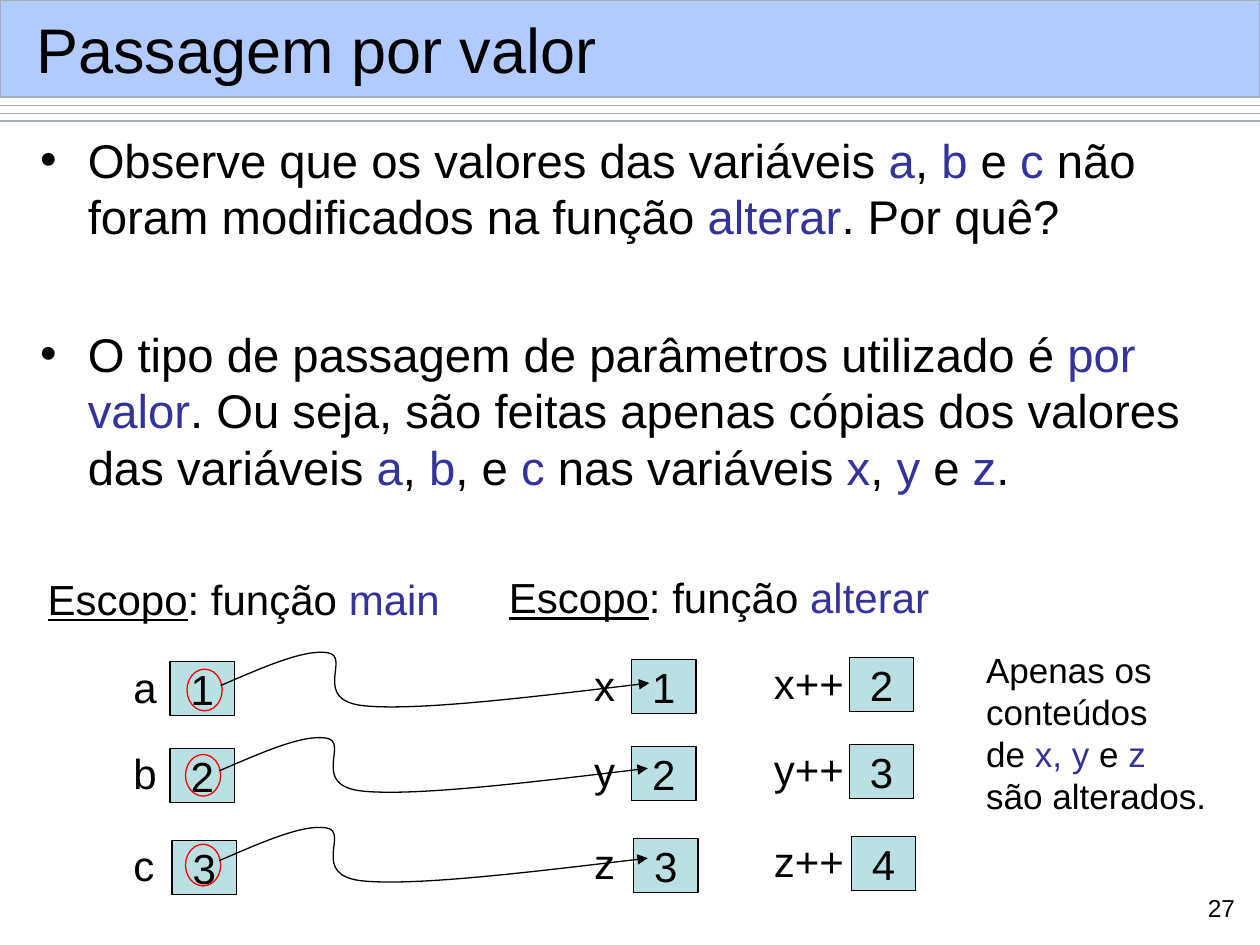
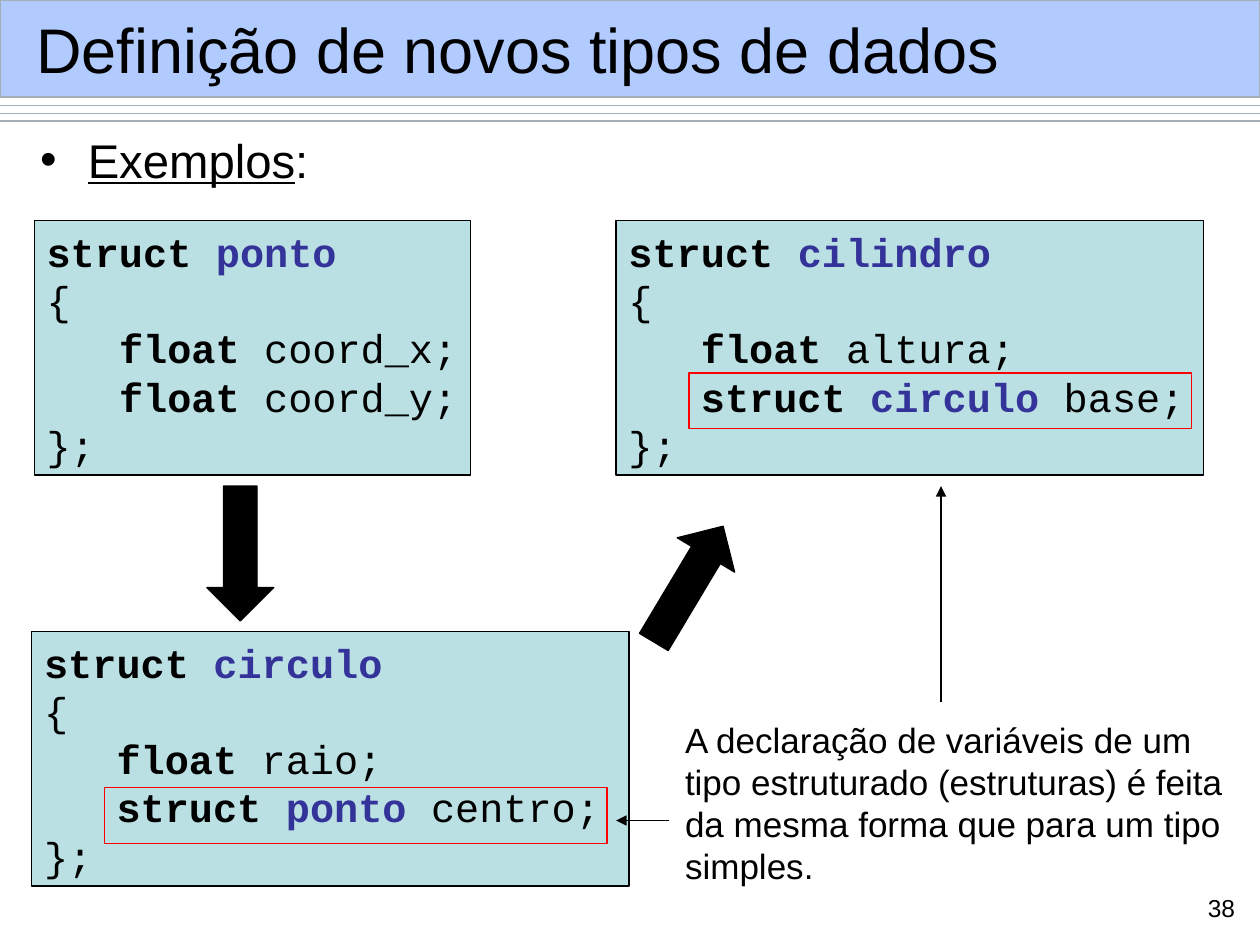
from lxml import etree
from pptx import Presentation
from pptx.dml.color import RGBColor
from pptx.enum.dml import MSO_LINE
from pptx.enum.shapes import MSO_CONNECTOR, MSO_SHAPE
from pptx.enum.text import MSO_ANCHOR, MSO_AUTO_SIZE, PP_ALIGN
from pptx.oxml.ns import qn
from pptx.util import Cm, Pt

SOLID = MSO_LINE.SOLID
STRAIGHT = MSO_CONNECTOR.STRAIGHT
RECT, OVAL = MSO_SHAPE.RECTANGLE, MSO_SHAPE.OVAL
DOWN, RIGHT_ARROW = MSO_SHAPE.DOWN_ARROW, MSO_SHAPE.RIGHT_ARROW
TOP, MIDDLE = MSO_ANCHOR.TOP, MSO_ANCHOR.MIDDLE
LEFT, CENTER, RIGHT = PP_ALIGN.LEFT, PP_ALIGN.CENTER, PP_ALIGN.RIGHT

COLORS = {"text": "000000", "accent": "333399", "box": "BBE0E3",
          "mark": "FF0000", "band": "6699FF", "rule": "A3AEB7"}
SANS, MONO = "Arial", "Courier New"

# Runs are separated by "|"; the first character of a run selects its style
STYLES = {"`": ("accent", False, False), "^": ("text", True, False),
          "#": ("accent", True, False), "~": ("text", False, True)}
PLAIN = ("text", False, False)

# ---- Content: lengths in cm ----
VALUE_SLIDE = {
    "title": "Passagem por valor",
    "number": "27",
    "bullets": [
        "Observe que os valores das variáveis |`a|, |`b| e |`c| não foram "
        "modificados na função |`alterar|. Por quê?",
        "O tipo de passagem de parâmetros utilizado é |`por valor|. Ou seja, são "
        "feitas apenas cópias dos valores das variáveis |`a|, |`b|, e |`c| nas "
        "variáveis |`x|, |`y| e |`z|.",
    ],
}
TYPES_SLIDE = {
    "title": "Definição de novos tipos de dados",
    "number": "38",
    "bullets": ["~Exemplos|:"],
}

SCOPES = [  # text, left, top, width
    ("~Escopo|: função| |`main", 0.71, 11.43, 8.41),
    ("~Escopo|: função| |`alterar", 10.01, 11.4, 8.97),
]
VARIABLES = [  # names, values, label left, label width, box left, upward shift
    ("abc", "123", 2.44, 0.95, 3.43, 0),
    ("xyz", "123", 11.73, 0.91, 12.73, 0.04),
    (("x++", "y++", "z++"), "234", 15.35, 1.9, 17.12, 0.08),
]
ROWS = [(13.2, 13.34, 0), (14.93, 15.09, 0), (16.8, 16.94, 0.04)]  # label, box, dx
COPY_STARTS = [(4.45, 13.82), (4.42, 15.54), (4.42, 17.35)]
COPY_CURVE = [(0.84, -0.36), (1.68, -0.74), (2.16, -0.66),
              (2.64, -0.58), (1.8, 0.3), (2.9, 0.41),
              (3.96, 0.51), (6.3, 0.23), (8.64, -0.05)]
CHANGED_NOTE = ["Apenas os", "conteúdos", "de |`x, y| e |`z", "são alterados."]

STRUCTS = [  # name, fields, left, top, width
    ("ponto", ["^float| coord_x;", "^float| coord_y;"], 0.69, 4.45, 8.79),
    ("circulo", ["^float| raio;", "^struct |#ponto| centro;"], 0.64, 12.73, 12.04),
    ("cilindro", ["^float| altura;", "^struct |#circulo| base;"], 12.42, 4.45, 11.84),
]
BLOCK_ARROWS = [  # shape, left, top, width, height, rotation
    (DOWN, 4.17, 9.8, 1.35, 2.72, 0),
    (RIGHT_ARROW, 12.52, 11.1, 2.72, 1.35, 300.9),
]
FIELD_MARKS = [(2.11, 15.88), (13.89, 7.52)]
POINTERS = [(18.97, 14.15, 18.97, 9.8), (13.49, 16.54, 12.42, 16.54)]
DECLARATION_NOTE = ["A declaração de variáveis de um",
                    "tipo estruturado (estruturas) é feita",
                    "da mesma forma que para um tipo", "simples."]


# ---- Helpers ----
def rgb(name):
    return RGBColor.from_string(COLORS[name])


def write(shape, lines, size, font=SANS, align=LEFT, anchor=TOP, wrap=False):
    tf = shape.text_frame
    tf.auto_size = MSO_AUTO_SIZE.NONE
    tf.word_wrap = wrap
    tf.vertical_anchor = anchor
    tf.margin_left = tf.margin_right = Cm(0.25)
    tf.margin_top = tf.margin_bottom = Cm(0.13)
    for i, line in enumerate(lines):
        p = tf.add_paragraph() if i else tf.paragraphs[0]
        p.alignment = align
        for part in line.split("|"):
            color, bold, underline = STYLES.get(part[0], PLAIN)
            r = p.add_run()
            r.text = part[1:] if part[0] in STYLES else part
            r.font.name, r.font.size = font, Pt(size)
            r.font.bold, r.font.underline = bold, underline
            r.font.color.rgb = rgb(color)
    return tf


def add_text(s, lines, x, y, w, h, size, **options):
    box = s.shapes.add_textbox(Cm(x), Cm(y), Cm(w), Cm(h))
    return write(box, lines, size, **options)


def set_line(shape, color):
    shape.line.color.rgb = rgb(color)
    shape.line.width = Pt(0.75)
    shape.line.dash_style = SOLID


def add_shape(s, kind, x, y, w, h, fill=None, line="text"):
    shape = s.shapes.add_shape(kind, Cm(x), Cm(y), Cm(w), Cm(h))
    shape.shadow.inherit = False
    if fill:
        shape.fill.solid()
        shape.fill.fore_color.rgb = rgb(fill)
    else:
        shape.fill.background()
    set_line(shape, line)
    return shape


def add_line(s, x1, y1, x2, y2, color):
    line = s.shapes.add_connector(STRAIGHT, Cm(x1), Cm(y1), Cm(x2), Cm(y2))
    set_line(line, color)
    etree.SubElement(line.element.spPr, qn("a:effectLst"))
    return line


def add_arrowhead(shape):
    ln = shape.element.spPr.find(qn("a:ln"))
    etree.SubElement(ln, qn("a:tailEnd"), type="triangle")


def set_indent(p, left, first=0):
    pPr = p._p.get_or_add_pPr()
    pPr.set("marL", str(Cm(left)))
    pPr.set("indent", str(Cm(first)))
    return pPr


def add_copy_curve(s, x, y):
    points = [(Cm(x + dx), Cm(y + dy)) for dx, dy in COPY_CURVE]
    builder = s.shapes.build_freeform(Cm(x), Cm(y))
    builder.add_line_segments(points, close=False)
    curve = builder.convert_to_shape()
    curve.shadow.inherit = False
    curve.fill.background()
    set_line(curve, "text")
    add_arrowhead(curve)
    # Every three line segments become one Bézier segment
    segments = list(curve.element.iter(qn("a:lnTo")))
    outline = segments[0].getparent()
    for i in range(0, len(segments), 3):
        bezier = etree.SubElement(outline, qn("a:cubicBezTo"))
        for segment in segments[i:i + 3]:
            bezier.append(segment[0])
            outline.remove(segment)


def add_slide(prs, content):
    s = prs.slides.add_slide(prs.slide_layouts[5])
    title = s.shapes.title
    # Rules and translucent band, behind the title
    frame = [add_line(s, 0, y, 25.4, y, "rule") for y in (2.13, 2.29, 2.44)]
    band = add_shape(s, RECT, 0, 0, 25.4, 1.96, "band", "rule")
    color = band.element.spPr.find(qn("a:solidFill"))[0]
    etree.SubElement(color, qn("a:alpha"), val="50000")
    for shape in frame + [band]:
        title.element.addprevious(shape.element)
    # Title
    title.left, title.top, title.width, title.height = Cm(0.48), Cm(0.23), Cm(24.49), Cm(1.5)
    write(title, [content["title"]], 36, anchor=MIDDLE, wrap=True)
    # Bullets
    tf = add_text(s, content["bullets"], 0.56, 2.51, 24.3, 8.2, 27, wrap=True)
    for i, p in enumerate(tf.paragraphs):
        p.space_before = Pt(46 if i else 6.8)
        pPr = set_indent(p, 0.96, -0.96)
        etree.SubElement(pPr, qn("a:buFont"), typeface=SANS)
        etree.SubElement(pPr, qn("a:buChar"), char="•")
    # Page number
    add_text(s, [content["number"]], 23.83, 17.88, 1.32, 0.89, 14, align=RIGHT, wrap=True)
    return s


# ---- Slides ----
def build_value_slide(prs):
    s = add_slide(prs, VALUE_SLIDE)
    for text, x, y, w in SCOPES:
        add_text(s, [text], x, y, w, 1.27, 24)
    # Variables of both scopes and their new values
    for names, values, label_x, label_w, box_x, up in VARIABLES:
        for name, value, (label_y, box_y, dx) in zip(names, values, ROWS):
            box = add_shape(s, RECT, box_x + dx, box_y - up, 1.3, 1.09, "box")
            write(box, [value], 24, align=CENTER, anchor=MIDDLE)
            add_text(s, [name], label_x, label_y - up, label_w, 1.27, 24)
    # Copies from arguments to parameters
    for x, y in COPY_STARTS:
        add_shape(s, OVAL, x - 0.68, y - 0.33, 0.71, 0.84, line="mark")
        add_copy_curve(s, x, y)
    add_text(s, CHANGED_NOTE, 19.63, 12.95, 4.95, 3.66, 20)


def build_types_slide(prs):
    s = add_slide(prs, TYPES_SLIDE)
    # Struct declarations
    for name, fields, x, y, w in STRUCTS:
        box = add_shape(s, RECT, x, y, w, 5.13, "box")
        lines = ["^struct |#" + name, "{", *fields, "};"]
        tf = write(box, lines, 23, font=MONO, wrap=True)
        tf.margin_right = 0
        for p in tf.paragraphs[2:-1]:
            set_indent(p, 1.46)
    for kind, x, y, w, h, rotation in BLOCK_ARROWS:
        arrow = add_shape(s, kind, x, y, w, h, "text")
        arrow.rotation = rotation
    # Highlighted fields and the note that points to them
    for x, y in FIELD_MARKS:
        add_shape(s, RECT, x, y, 10.13, 1.12, line="mark")
    for ends in POINTERS:
        add_arrowhead(add_line(s, *ends, "text"))
    add_text(s, DECLARATION_NOTE, 13.56, 14.35, 11.35, 3.66, 20)


def main():
    prs = Presentation()
    prs.slide_width, prs.slide_height = Cm(25.4), Cm(19.05)
    build_value_slide(prs)
    build_types_slide(prs)
    prs.save("out.pptx")


if __name__ == "__main__":
    main()
